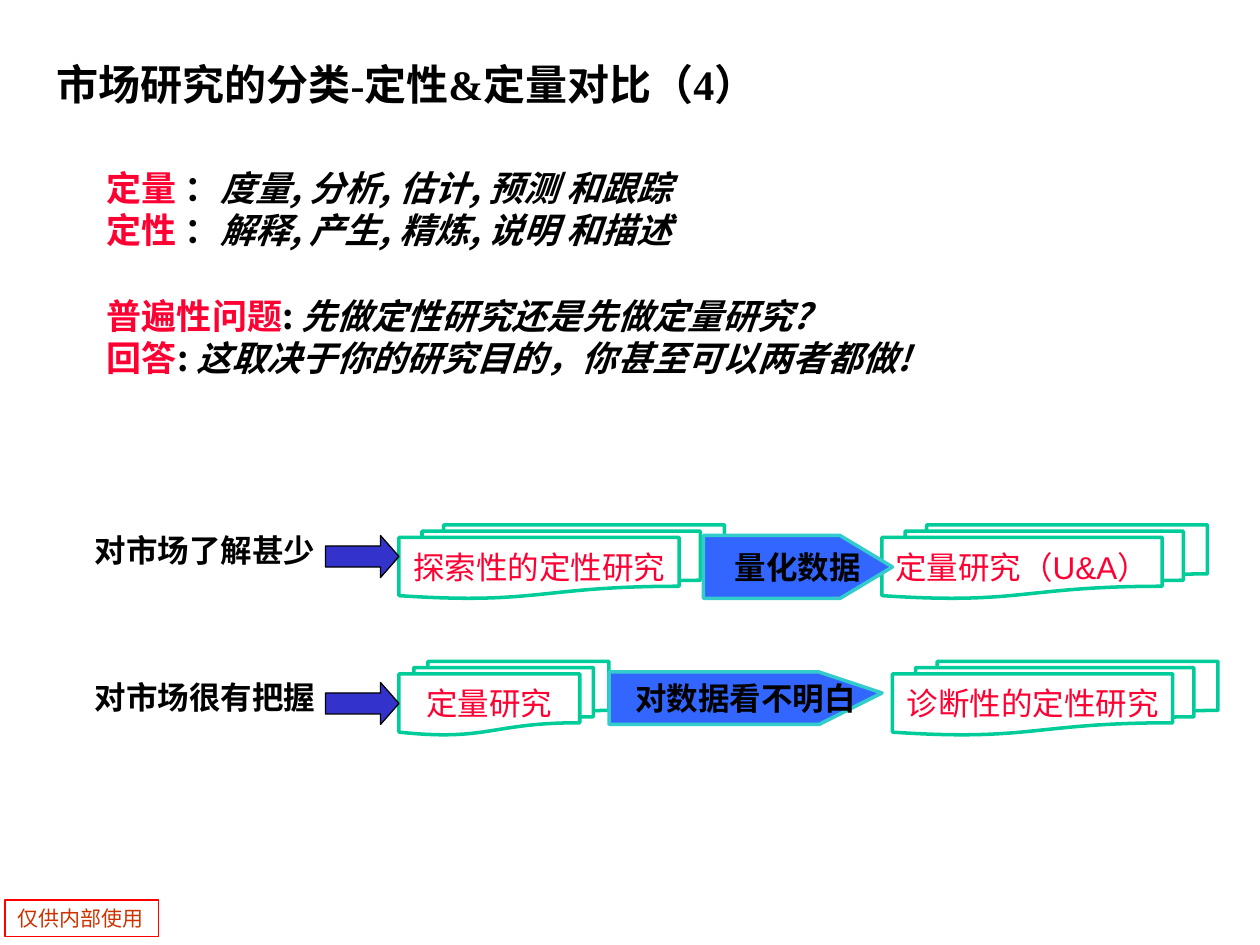
from dataclasses import dataclass

import pptx
import pptx.dml.color
import pptx.enum.shapes
import pptx.enum.text
import pptx.oxml.ns
import pptx.util
from lxml import etree

RGBColor = pptx.dml.color.RGBColor
Preset = pptx.enum.shapes.MSO_SHAPE
Align = pptx.enum.text.PP_ALIGN
Anchor = pptx.enum.text.MSO_ANCHOR

BLACK = RGBColor(0x00, 0x00, 0x00)
CRIMSON = RGBColor(0xFF, 0x00, 0x33)
RED = RGBColor(0xFF, 0x00, 0x00)
RUST = RGBColor(0xCC, 0x33, 0x00)
GREEN = RGBColor(0x00, 0xCC, 0x99)
BLUE = RGBColor(0x33, 0x66, 0xFF)
TEAL = RGBColor(0x33, 0xCC, 0xCC)
INDIGO = RGBColor(0x33, 0x33, 0xCC)

CHINESE_FONT = "Noto Sans CJK SC"
CELL = pptx.util.Inches(10) // 120  # the slide is a grid of 120 columns, 90 rows


@dataclass
class Area:
    """Place and size in grid columns and rows."""
    left: float
    top: float
    width: float
    height: float

    def lengths(self) -> list[int]:
        return [round(value * CELL) for value in
                (self.left, self.top, self.width, self.height)]


@dataclass
class Span:
    text: str
    color: RGBColor = BLACK
    italic: bool = False


@dataclass
class Flow:
    """One row: label, arrow, first study, pointed plate, second study."""
    label: str
    label_top: float
    arrow_top: float
    first: str
    first_area: Area
    reason: str
    plate_area: Area
    shoulder: float
    second: str
    second_area: Area


FLOWS = [
    Flow("对市场了解甚少", 50, 51, "探索性的定性研究", Area(38, 50, 31, 7),
         "量化数据", Area(67, 51, 18, 6), 13.5,
         "定量研究（U&A）", Area(84, 50, 31, 7)),
    Flow("对市场很有把握", 64, 65, "定量研究", Area(38, 63, 20, 7),
         "对数据看不明白", Area(58, 64, 26, 5), 19.5,
         "诊断性的定性研究", Area(85, 63, 31, 7)),
]

STATEMENTS = [
    (Area(9, 14.8, 98, 13.2), [
        [Span("定量", CRIMSON), Span(" ："), Span("度量, 分析, 估计, 预测 和跟踪", italic=True)],
        [Span("定性", CRIMSON), Span(" ："), Span("解释, 产生, 精炼, 说明 和描述", italic=True)],
    ]),
    (Area(9, 27, 100, 9.2), [
        [Span("普遍性问题", CRIMSON), Span(": "),
         Span("先做定性研究还是先做定量研究?", italic=True)],
        [Span("回答", CRIMSON), Span(": "),
         Span("这取决于你的研究目的，你甚至可以两者都做!", italic=True)],
    ]),
]


def write(shape, lines: list[list[Span]], *, size: float, font: str = "Arial",
          bold: bool = False, align=Align.LEFT, anchor=Anchor.TOP,
          wrap: bool = True, leading: float | None = None,
          top_inset: float = 0.05) -> None:
    frame = shape.text_frame
    frame.word_wrap = wrap
    frame.vertical_anchor = anchor
    frame.margin_left = frame.margin_right = pptx.util.Inches(0.1)
    frame.margin_top = pptx.util.Inches(top_inset)
    frame.margin_bottom = pptx.util.Inches(0.05)
    for index, spans in enumerate(lines):
        para = frame.add_paragraph() if index else frame.paragraphs[0]
        para.alignment = align
        if leading:
            para.line_spacing = pptx.util.Pt(leading)
        for span in spans:
            run = para.add_run()
            run.text = span.text
            run.font.name = font
            run.font.size = pptx.util.Pt(size)
            run.font.bold = bold
            run.font.italic = span.italic
            run.font.color.rgb = span.color
            east_asian = etree.SubElement(run.font._element, pptx.oxml.ns.qn("a:ea"))
            east_asian.set("typeface", CHINESE_FONT)


def paint(shape, fill: RGBColor | None, line: RGBColor, weight: float) -> None:
    shape.shadow.inherit = False
    if fill is None:
        shape.fill.background()
    else:
        shape.fill.solid()
        shape.fill.fore_color.rgb = fill
    shape.line.color.rgb = line
    shape.line.width = pptx.util.Pt(weight)


def add_text(page, area: Area, lines: list[list[Span]], **style) -> None:
    write(page.shapes.add_textbox(*area.lengths()), lines, **style)


def add_study(page, area: Area, text: str) -> None:
    stack = page.shapes.add_shape(Preset.FLOWCHART_MULTIDOCUMENT, *area.lengths())
    paint(stack, None, GREEN, 2)
    write(stack, [[Span(text, CRIMSON)]], size=18, align=Align.CENTER,
          anchor=Anchor.MIDDLE, wrap=False)


def add_arrow(page, top: float) -> None:
    arrow = page.shapes.add_shape(Preset.RIGHT_ARROW, *Area(31, top, 7, 4).lengths())
    arrow.adjustments[0] = 0.5
    arrow.adjustments[1] = 0.44
    paint(arrow, INDIGO, BLACK, 0.75)


def add_plate(page, area: Area, shoulder: float, text: str) -> None:
    """Pointed plate; its text is centred on the full width, tip included."""
    right, bottom = area.left + area.width, area.top + area.height
    bend = area.left + shoulder
    builder = page.shapes.build_freeform(area.left, area.top, scale=CELL)
    builder.add_line_segments(
        [(bend, area.top), (right, area.top + area.height / 2),
         (bend, bottom), (area.left, bottom)], close=True)
    plate = builder.convert_to_shape()
    paint(plate, BLUE, TEAL, 2)
    write(plate, [[Span(text)]], size=18, bold=True, align=Align.CENTER,
          anchor=Anchor.MIDDLE, wrap=False)


def add_flow(page, flow: Flow) -> None:
    add_text(page, Area(4, flow.label_top, 31, 4.8), [[Span(flow.label)]],
             size=18, bold=True, align=Align.CENTER)
    add_study(page, flow.first_area, flow.first)
    add_study(page, flow.second_area, flow.second)
    add_plate(page, flow.plate_area, flow.shoulder, flow.reason)
    add_arrow(page, flow.arrow_top)


def main() -> None:
    deck = pptx.Presentation()
    deck.slide_width, deck.slide_height = 120 * CELL, 90 * CELL
    page = deck.slides.add_slide(deck.slide_layouts[6])

    notice = page.shapes.add_shape(Preset.RECTANGLE, *Area(0.5, 85.7, 14.6, 3.5).lengths())
    paint(notice, None, RED, 1)
    write(notice, [[Span("仅供内部使用", RUST)]], size=12, font=CHINESE_FONT,
          anchor=Anchor.MIDDLE)

    add_text(page, Area(4.2, 2.5, 113.4, 11), [[Span("市场研究的分类-定性&定量对比（4）")]],
             size=24, font="Times New Roman", bold=True, anchor=Anchor.MIDDLE)
    for area, lines in STATEMENTS:
        add_text(page, area, lines, size=20, font=CHINESE_FONT, bold=True,
                 leading=24, top_inset=0.09)
    for flow in FLOWS:
        add_flow(page, flow)

    deck.save("out.pptx")


if __name__ == "__main__":
    main()
